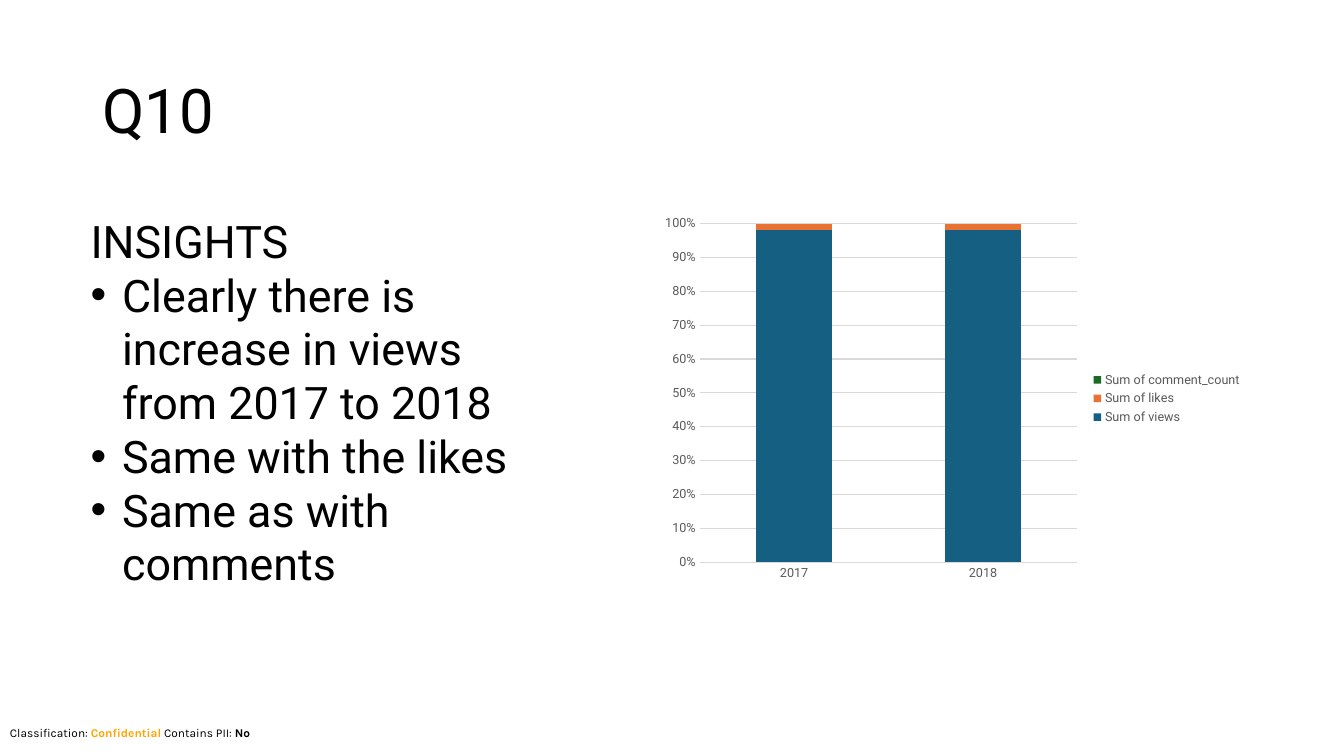
"""Build the Q10 insights slide with a stacked column chart."""
import dataclasses
import typing

import lxml.etree
import pptx
import pptx.chart.data
import pptx.dml.color
import pptx.enum.chart
import pptx.enum.text
import pptx.oxml.ns
import pptx.util

Pt = pptx.util.Pt
COLORS = {
    "black": "000000",
    "amber": "FFA500",
    "gray": "595959",
    "rule": "D9D9D9",
    "blue": "156082",
    "orange": "E97132",
    "green": "196B24",
}
TITLE = {"name": "Roboto", "size": Pt(44)}
BODY = {"name": "Roboto", "size": Pt(32)}
LABEL = {"name": "Roboto", "size": Pt(9)}
NOTE = {"name": "Karla", "size": Pt(8.5), "bold": False}
STRONG = {**NOTE, "bold": True}
INDENT = Pt(22.5)


@dataclasses.dataclass
class Run:
    text: str
    form: dict[str, typing.Any]
    color: str = "black"


@dataclasses.dataclass
class Para:
    runs: list[Run]
    bullet: bool = False


@dataclasses.dataclass
class Box:
    left: float
    top: float
    width: float
    height: float
    paras: list[Para]
    frame: dict[str, typing.Any]
    spacing: float = 1.0


@dataclasses.dataclass
class Series:
    name: str
    values: list[float]
    color: str


GROW = {"word_wrap": True, "auto_size": pptx.enum.text.MSO_AUTO_SIZE.SHAPE_TO_FIT_TEXT}
MIDDLE = {"word_wrap": True, "vertical_anchor": pptx.enum.text.MSO_ANCHOR.MIDDLE}
POINTS = [
    "Clearly there is increase in views from 2017 to 2018",
    "Same with the likes",
    "Same as with comments",
]
BOXES = [
    Box(0, 514.8, 960, 17.3, [Para([
        Run("Classification: ", NOTE),
        Run("Confidential", STRONG, "amber"),
        Run(" Contains PII: ", NOTE),
        Run("No", STRONG),
    ])], GROW),
    Box(66, 28.8, 828, 104.4, [Para([Run("Q10", TITLE)])], MIDDLE, 0.9),
    Box(57.6, 149, 354.2, 239.8, [
        Para([Run("INSIGHTS", BODY)]),
        *(Para([Run(point, BODY)], True) for point in POINTS),
    ], GROW),
]
YEARS = ["2017", "2018"]
SERIES = [
    Series("Sum of views", [98, 98], "blue"),
    Series("Sum of likes", [2, 2], "orange"),
    Series("Sum of comment_count", [0, 0], "green"),
]


def tint(name: str) -> pptx.dml.color.RGBColor:
    return pptx.dml.color.RGBColor.from_string(COLORS[name])


def apply(target: typing.Any, form: dict[str, typing.Any]) -> None:
    for key, value in form.items():
        setattr(target, key, value)


def style(font: typing.Any, form: dict[str, typing.Any], color: str) -> None:
    apply(font, form)
    font.color.rgb = tint(color)


def rule(line: typing.Any) -> None:
    line.color.rgb = tint("rule")
    line.width = Pt(0.75)


def mark(para: typing.Any) -> None:
    props = para._p.get_or_add_pPr()
    props.set("marL", str(INDENT))
    props.set("indent", str(-INDENT))
    for tag, key, value in (("a:buFont", "typeface", "Arial"), ("a:buChar", "char", "•")):
        lxml.etree.SubElement(props, pptx.oxml.ns.qn(tag)).set(key, value)


def draw_box(slide: typing.Any, box: Box) -> None:
    shape = slide.shapes.add_textbox(Pt(box.left), Pt(box.top), Pt(box.width), Pt(box.height))
    frame = shape.text_frame
    apply(frame, box.frame)
    for index, item in enumerate(box.paras):
        para = frame.add_paragraph() if index else frame.paragraphs[0]
        para.line_spacing = box.spacing
        if item.bullet:
            mark(para)
        for part in item.runs:
            run = para.add_run()
            run.text = part.text
            style(run.font, part.form, part.color)


def draw_chart(slide: typing.Any) -> None:
    data = pptx.chart.data.CategoryChartData()
    data.categories = YEARS
    for item in SERIES:
        data.add_series(item.name, item.values)
    kind = pptx.enum.chart.XL_CHART_TYPE.COLUMN_STACKED_100
    chart = slide.shapes.add_chart(kind, Pt(466.6), Pt(149), Pt(427.7), Pt(271.4), data).chart
    chart.has_title = False
    style(chart.font, {**LABEL, "size": Pt(10)}, "black")

    plot = chart.plots[0]
    apply(plot, {"gap_width": 150, "overlap": 100, "vary_by_categories": False})
    for series, item in zip(plot.series, SERIES):
        series.format.fill.solid()
        series.format.fill.fore_color.rgb = tint(item.color)

    ticks = pptx.enum.chart.XL_TICK_MARK.NONE
    for axis in (chart.category_axis, chart.value_axis):
        apply(axis, {"major_tick_mark": ticks, "minor_tick_mark": ticks})
        style(axis.tick_labels.font, LABEL, "gray")
    rule(chart.category_axis.format.line)
    scale = chart.value_axis
    apply(scale, {"minimum_scale": 0, "maximum_scale": 1, "major_unit": 0.1})
    apply(scale.tick_labels, {"number_format": "0%", "number_format_is_linked": False})
    scale.format.line.fill.background()
    rule(scale.major_gridlines.format.line)

    chart.has_legend = True
    place = pptx.enum.chart.XL_LEGEND_POSITION.RIGHT
    apply(chart.legend, {"position": place, "include_in_layout": False})
    style(chart.legend.font, LABEL, "gray")


def main() -> None:
    deck = pptx.Presentation()
    apply(deck, {"slide_width": Pt(960), "slide_height": Pt(540)})
    slide = deck.slides.add_slide(deck.slide_layouts[6])
    for box in BOXES:
        draw_box(slide, box)
    draw_chart(slide)
    deck.save("out.pptx")


if __name__ == "__main__":
    main()
